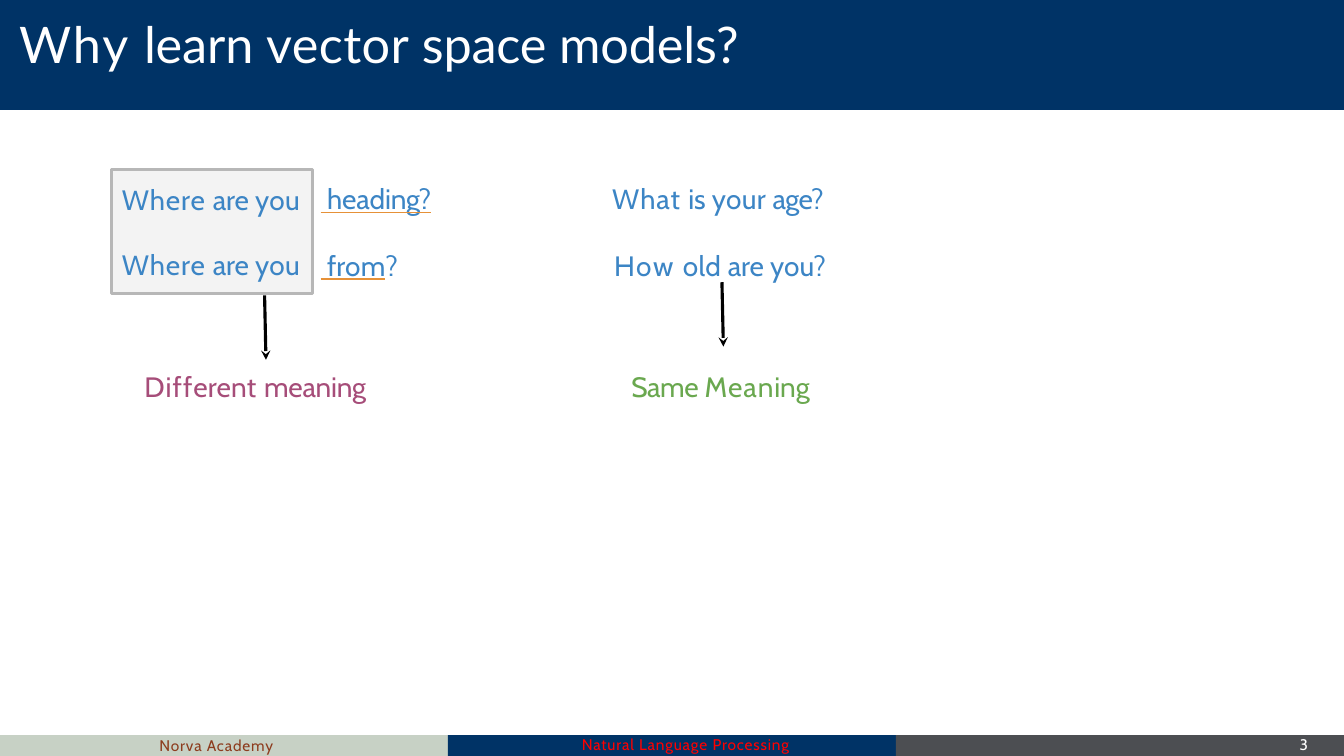
from dataclasses import dataclass
from lxml.etree import SubElement
from pptx import Presentation
from pptx.dml.color import RGBColor
from pptx.enum.shapes import MSO_CONNECTOR, MSO_SHAPE
from pptx.enum.text import MSO_ANCHOR, PP_ALIGN
from pptx.oxml.ns import qn
from pptx.util import Pt


@dataclass(frozen=True)
class Theme:
    """Colours, fonts and type sizes of the slide."""
    navy: str = "003366"
    sage: str = "C7D1C5"
    slate: str = "4C4E52"
    white: str = "FFFFFF"
    black: str = "000000"
    red: str = "FF0000"
    rust: str = "8D3C1E"
    blue: str = "3C85C5"
    plum: str = "A64D79"
    green: str = "6AA84F"
    orange: str = "E69138"
    panel: str = "D9D9D9"
    border: str = "B7B7B7"
    heading_font: str = "Lato"
    body_font: str = "Cabin"
    title_size: float = 36
    body_size: float = 20
    footer_size: float = 11


THEME = Theme()
WIDTH, HEIGHT = 960, 540
WHERE_ARE_YOU = [("Where ", 0.6), ("are ", -0.1), ("you", 0.2)]


def add_runs(para, pieces, color, size=THEME.body_size, font=THEME.body_font):
    """Add one run per (text, letter spacing) piece and return the runs."""
    runs = []
    for text, spacing in pieces:
        span = para.add_run()
        span.text = text
        span.font.name = font
        span.font.size = Pt(size)
        span.font.color.rgb = RGBColor.from_string(color)
        span.font._element.set("spc", str(round(spacing * 100)))
        runs.append(span)
    return runs


def underline(span, color):
    """Underline a run in its own colour."""
    span.font.underline = True
    properties = span.font._element
    underline_fill = SubElement(properties, qn("a:uFill"))
    solid = SubElement(underline_fill, qn("a:solidFill"))
    SubElement(solid, qn("a:srgbClr"), val=color)
    properties.find(qn("a:latin")).addprevious(underline_fill)


def set_frame(frame, left=0, top=0):
    """Give a text frame wrapped, top-anchored text with the given insets."""
    frame.word_wrap = True
    frame.vertical_anchor = MSO_ANCHOR.TOP
    frame.margin_left, frame.margin_top = Pt(left), Pt(top)
    frame.margin_right = frame.margin_bottom = 0


def add_label(page, left, top, width, height, pieces, color, size=THEME.body_size, line_spacing=None):
    """Add a one-line text box and return its runs."""
    box = page.shapes.add_textbox(Pt(left), Pt(top), Pt(width), Pt(height))
    set_frame(box.text_frame, 0.9, 0.9)
    para = box.text_frame.paragraphs[0]
    if line_spacing:
        para.line_spacing = Pt(line_spacing)
    return add_runs(para, pieces, color, size)


def add_block(page, left, top, width, height, color):
    """Add a plain filled rectangle."""
    block = page.shapes.add_shape(MSO_SHAPE.RECTANGLE, Pt(left), Pt(top), Pt(width), Pt(height))
    block.shadow.inherit = False
    block.fill.solid()
    block.fill.fore_color.rgb = RGBColor.from_string(color)
    block.line.fill.background()
    return block


def add_arrow(page, left, top):
    """Add a slightly slanted downward arrow."""
    arrow = page.shapes.add_connector(MSO_CONNECTOR.STRAIGHT, Pt(left), Pt(top), Pt(left + 1), Pt(top + 46))
    arrow.line.width = Pt(2.25)
    arrow.line.color.rgb = RGBColor.from_string(THEME.black)
    SubElement(arrow.line._get_or_add_ln(), qn("a:tailEnd"), type="stealth")
    SubElement(arrow.element.spPr, qn("a:effectLst"))


def add_phrase_panel(page):
    """Add the translucent panel around the shared beginning of two questions."""
    panel = add_block(page, 79.9, 121, 143.3, 88.6, THEME.panel)
    fill_color = panel.element.spPr.find(qn("a:solidFill"))[0]
    SubElement(fill_color, qn("a:alpha"), val="29000")
    panel.line.color.rgb = RGBColor.from_string(THEME.border)
    panel.line.width = Pt(2.25)
    frame = panel.text_frame
    set_frame(frame, 7.2, 9)
    for para, gap in ((frame.paragraphs[0], 0), (frame.add_paragraph(), 23)):
        para.alignment = PP_ALIGN.LEFT
        para.space_before = Pt(gap)
        add_runs(para, WHERE_ARE_YOU, THEME.blue)


def add_footer(page):
    """Add the three footer bands and their labels."""
    third = WIDTH / 3
    for column, color in enumerate((THEME.sage, THEME.navy, THEME.slate)):
        add_block(page, column * third, 525, third, 15, color)
    labels = (
        (113, 532, 172, "Norva Academy", 0.6, THEME.rust),
        (414.7, 531.4, 172, "Natural Language Processing", 0.6, THEME.red),
        (927.4, 531.4, 31, "3", 0, THEME.white),
    )
    for left, top, width, text, spacing, color in labels:
        add_label(page, left, top, width, 7.2, [(text, spacing)], color, THEME.footer_size, 5.8)


def add_title(page):
    """Add the title band and place the title on it."""
    add_block(page, 0, 0, WIDTH, 78.5, THEME.navy)
    title = page.shapes.title
    title.left, title.top, title.width, title.height = Pt(6.5), Pt(10.8), Pt(821.5), Pt(52.6)
    set_frame(title.text_frame, 7.2, 3.6)
    para = title.text_frame.paragraphs[0]
    para.alignment = PP_ALIGN.LEFT
    para.line_spacing = 0.9
    pieces = [("Why ", 1.4), ("learn ", -0.1), ("vector ", 0.3), ("space models?", -0.1)]
    add_runs(para, pieces, THEME.white, THEME.title_size, THEME.heading_font)
    title.element.getparent().append(title.element)


def main():
    """Build the slide and save it."""
    deck = Presentation()
    deck.slide_width, deck.slide_height = Pt(WIDTH), Pt(HEIGHT)
    page = deck.slides.add_slide(deck.slide_layouts[5])
    add_footer(page)
    add_title(page)
    first, second, verdict = 128.9, 176.4, 262.8

    add_phrase_panel(page)
    heading = add_label(page, 228.2, first, 84.5, 26, [(" ", -2.6), ("head", -0.1), ("ing?", -0.2)], THEME.blue)
    origin = add_label(page, 228.2, second, 57, 26, [(" ", -2.6), ("from", 0.1), ("?", 0.1)], THEME.blue)
    for span in heading + origin[:2]:
        underline(span, THEME.orange)
    add_arrow(page, 189, 211)
    different = [("Dif", 0.8), ("f", 0.7), ("ere", 0.1), ("n", -0.1), ("t ", 0.5), ("meaning", -0.2)]
    add_label(page, 102.2, verdict, 162, 26, different, THEME.plum)

    age = [("What ", 0.7), ("is ", -0.1), ("your ", 0.2), ("age?", -0.5)]
    add_label(page, 436.3, first, 160, 26, age, THEME.blue)
    old = [("How ", 1.1), ("old ", 0.2), ("are ", -0.1), ("you?", 0.1)]
    add_label(page, 437.8, second, 157, 26, old, THEME.blue)
    add_arrow(page, 515.7, 201.6)
    same = [("Same ", -0.3), ("Mea", 0.7), ("n", 0.6), ("ing", -0.1)]
    add_label(page, 450, verdict, 132, 26, same, THEME.green)
    deck.save("out.pptx")


if __name__ == "__main__":
    main()
